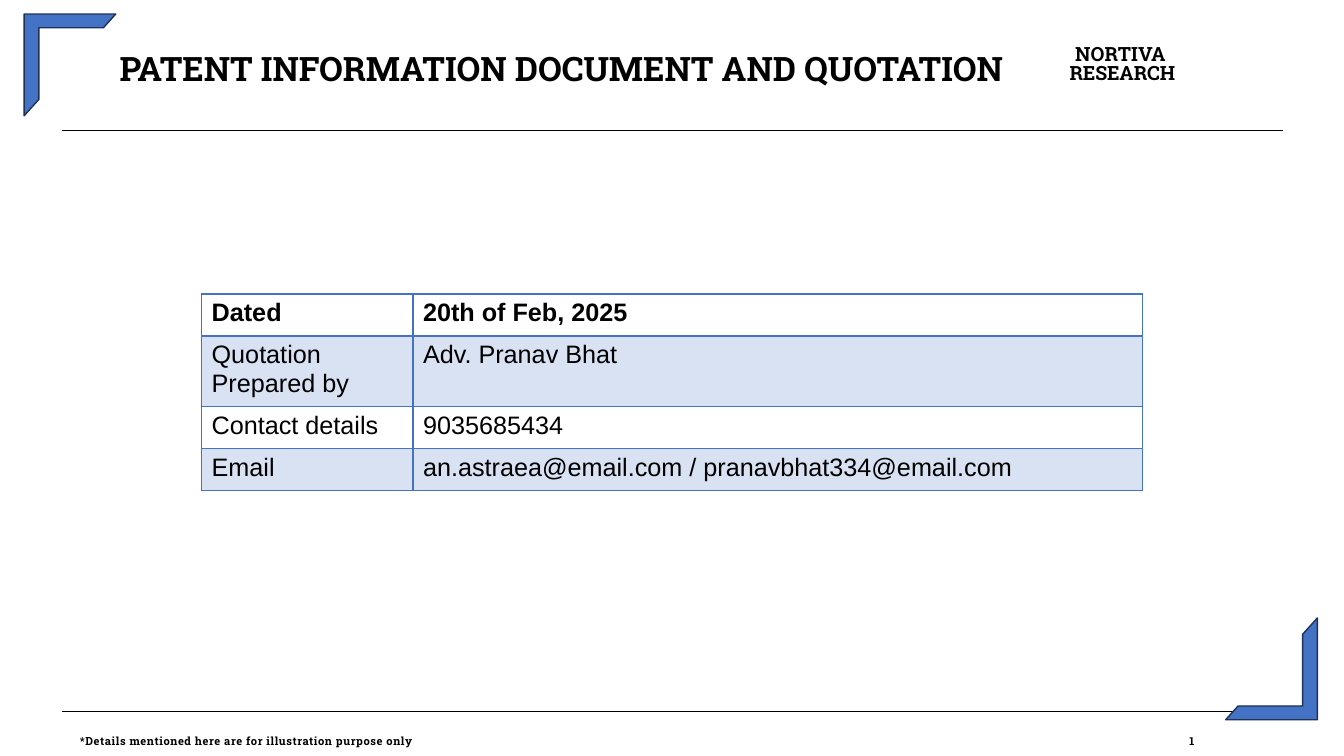
"""Build the patent quotation cover slide."""
from lxml.etree import SubElement as Sub
from pptx import Presentation
from pptx.dml.color import RGBColor as RGB
from pptx.enum.shapes import MSO_CONNECTOR as Link, MSO_SHAPE as Form
from pptx.enum.text import MSO_ANCHOR as Anchor, PP_ALIGN as Align
from pptx.oxml.ns import qn
from pptx.util import Pt

TITLE = "PATENT INFORMATION DOCUMENT AND QUOTATION"
FIRM = [("NORTIVA", 4, 10), ("RESEARCH", 0, -10)]
NOTE = "*Details mentioned here are for illustration purpose only\t1"
ROWS = [
    ("Dated", "20th of Feb, 2025"),
    ("Quotation Prepared by", "Adv. Pranav Bhat"),
    ("Contact details", "9035685434"),
    ("Email", "an.astraea@email.com / pranavbhat334@email.com"),
]
THEME = {
    "ink": "000000", "blue": "4472C4", "edge": "1E3256", "tint": 20000,
    "head": {"name": "Roboto Slab", "size": Pt(24), "bold": True},
    "firm": {"name": "Roboto Slab", "size": Pt(14), "bold": True},
    "note": {"name": "Roboto Slab", "size": Pt(8), "bold": True},
    "cell": {"name": "Arial", "size": Pt(18), "bold": False},
}
WIDE, HIGH = 960, 540
RULES = (93.2, 508.2)
RULE_X = (44, 916.5)
CORNERS = [(17.2, 10, 0), (875.5, 441.4, 180)]
CORNER = (65.5, 72.7)
COLS = (151, 521)
HEIGHTS = (30, 47.5, 30, 30)
TAB = 792.5


def put(para, text, look, gap=0):
    """Add a styled run to a paragraph."""
    run = para.add_run()
    run.text = text
    for key, val in THEME[look].items():
        setattr(run.font, key, val)
    run.font.color.rgb = RGB.from_string(THEME["ink"])
    if gap:
        run.font._element.set("spc", str(gap))


def frame(shape, box, **more):
    """Place a text shape without insets and return its frame."""
    for key, val in zip(("left", "top", "width", "height"), box):
        setattr(shape, key, Pt(val))
    text = shape.text_frame
    look = dict.fromkeys(
        ("margin_left", "margin_top", "margin_right", "margin_bottom"), 0)
    for key, val in {**look, "word_wrap": True, **more}.items():
        setattr(text, key, val)
    return text


def rule(slide, y):
    """Draw one thin horizontal rule."""
    left, right = RULE_X
    line = slide.shapes.add_connector(
        Link.STRAIGHT, Pt(left), Pt(y), Pt(right), Pt(y))
    line.line.width = Pt(0.48)
    line.line.color.rgb = RGB.from_string(THEME["ink"])
    Sub(line._element.spPr, qn("a:effectLst"))


def corner(slide, x, y, turn):
    """Draw one half frame."""
    form = slide.shapes.add_shape(
        Form.HALF_FRAME, Pt(x), Pt(y), *map(Pt, CORNER))
    form.adjustments[0], form.adjustments[1] = 0.15, 0.161
    form.rotation = turn
    form.shadow.inherit = False
    form.fill.solid()
    form.fill.fore_color.rgb = RGB.from_string(THEME["blue"])
    form.line.color.rgb = RGB.from_string(THEME["edge"])
    form.line.width = Pt(1)


def border(cell, row):
    """Outline a cell, with a heavier line under the first row."""
    props = cell._tc.get_or_add_tcPr()
    heavy = {(0, "B"), (1, "T")}
    for spot, side in enumerate("LRTB"):
        width = Pt(2 if (row, side) in heavy else 1)
        line = props.makeelement(qn("a:ln" + side), {"w": str(width)})
        fill = Sub(line, qn("a:solidFill"))
        Sub(fill, qn("a:srgbClr"), val=THEME["blue"])
        props.insert(spot, line)


def grid(slide):
    """Build the details table."""
    table = slide.shapes.add_table(
        len(ROWS), len(COLS), Pt(144), Pt(210),
        Pt(sum(COLS)), Pt(sum(HEIGHTS))).table
    table.first_row = table.horz_banding = False
    for col, width in zip(table.columns, COLS):
        col.width = Pt(width)
    for row, words in enumerate(ROWS):
        table.rows[row].height = Pt(HEIGHTS[row])
        for col, word in enumerate(words):
            cell = table.cell(row, col)
            para = cell.text_frame.paragraphs[0]
            put(para, word, "cell")
            para.runs[0].font.bold = row == 0
            if row % 2:
                cell.fill.solid()
                cell.fill.fore_color.rgb = RGB.from_string(THEME["blue"])
                tone = cell._tc.tcPr.find(".//" + qn("a:srgbClr"))
                Sub(tone, qn("a:alpha"), val=str(THEME["tint"]))
            else:
                cell.fill.background()
            border(cell, row)


def main():
    """Build and save the slide."""
    deck = Presentation()
    deck.slide_width, deck.slide_height = Pt(WIDE), Pt(HIGH)
    slide = deck.slides.add_slide(deck.slide_layouts[5])
    head = frame(slide.shapes.title, (44, 36, 714, 25),
                 vertical_anchor=Anchor.MIDDLE)
    head.paragraphs[0].alignment = Align.CENTER
    put(head.paragraphs[0], TITLE, "head")

    firm = frame(slide.shapes.add_textbox(0, 0, 0, 0), (764, 33, 86, 31))
    for spot, (word, inset, gap) in enumerate(FIRM):
        para = firm.add_paragraph() if spot else firm.paragraphs[0]
        para._p.get_or_add_pPr().set("marL", str(Pt(inset)))
        para.line_spacing = 0.82
        put(para, word, "firm", gap)

    for y in RULES:
        rule(slide, y)
    for place in CORNERS:
        corner(slide, *place)

    note = frame(slide.shapes.add_textbox(0, 0, 0, 0), (57, 524, 858, 11),
                 vertical_anchor=Anchor.MIDDLE)
    para = note.paragraphs[0]
    tabs = Sub(para._p.get_or_add_pPr(), qn("a:tabLst"))
    Sub(tabs, qn("a:tab"), pos=str(Pt(TAB)), algn="l")
    put(para, NOTE, "note", 40)
    grid(slide)
    deck.save("out.pptx")


if __name__ == "__main__":
    main()
